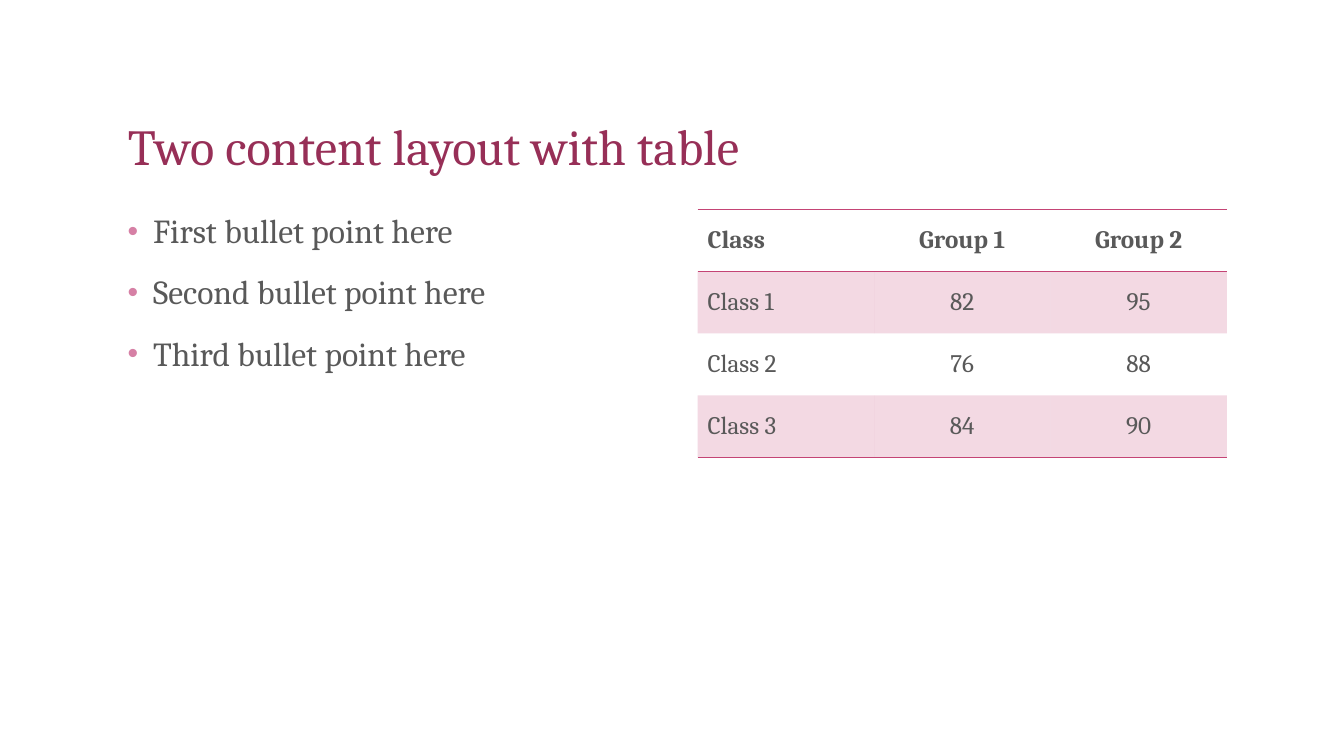
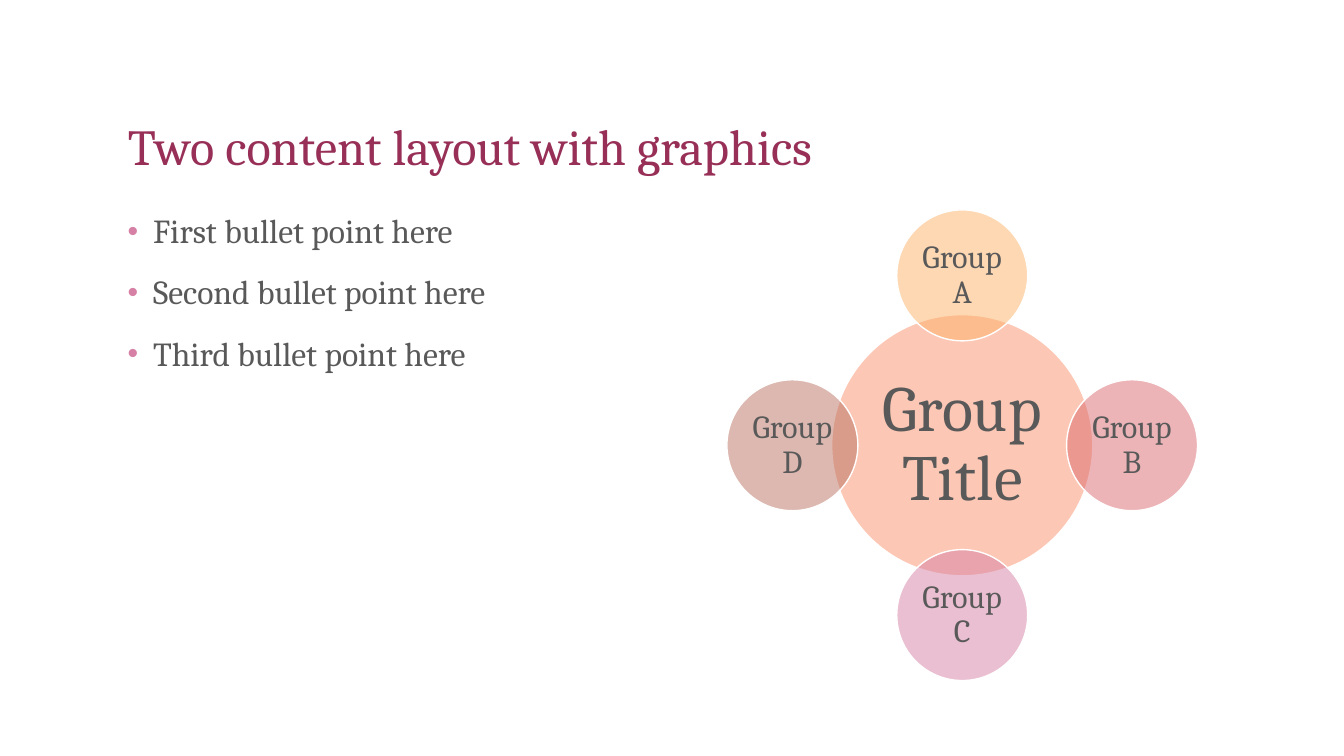
from dataclasses import dataclass

from pptx import Presentation
from pptx.dml.color import RGBColor
from pptx.enum.shapes import MSO_SHAPE
from pptx.enum.text import MSO_ANCHOR, MSO_AUTO_SIZE, PP_ALIGN
from pptx.oxml.ns import qn
from pptx.oxml.xmlchemy import OxmlElement
from pptx.presentation import Presentation as Deck
from pptx.slide import Slide
from pptx.table import _Cell as Cell
from pptx.text.text import TextFrame
from pptx.util import Cm, Pt

LEFT, CENTER = PP_ALIGN.LEFT, PP_ALIGN.CENTER
MIDDLE, BOTTOM = MSO_ANCHOR.MIDDLE, MSO_ANCHOR.BOTTOM
FIXED = MSO_AUTO_SIZE.NONE
OVAL = MSO_SHAPE.OVAL

FONT = "Cambria"
COLORS = {
    "title": "972F57",
    "text": "595959",
    "rose": "C44475",
    "pink": "D680A5",
    "coral": "FA906A",
    "orange": "FCB268",
    "red": "DB6B70",
    "brown": "BA7362",
    "white": "FFFFFF",
}

EDGE = 2.97
TOP = 5.28
WIDE = 13.34
RIGHT = 17.58
ROW = 1.56
MID_X = RIGHT + WIDE / 2
MID_Y = 11.22
ORBIT = 4.28

POINTS = ("First bullet point here", "Second bullet point here", "Third bullet point here")
SCORES = (
    ("Class", "Group 1", "Group 2"),
    ("Class 1", "82", "95"),
    ("Class 2", "76", "88"),
    ("Class 3", "84", "90"),
)


@dataclass(frozen=True)
class Disc:
    label: str
    color: str
    size: float
    font: int
    inset: float
    step_x: int = 0
    step_y: int = 0


@dataclass(frozen=True)
class Small(Disc):
    size: float = 3.3
    font: int = 23
    inset: float = 0.08


DISCS = (
    Disc("Group Title", "coral", 6.58, 46, 0.15),
    Small("Group A", "orange", step_y=-1),
    Small("Group B", "red", step_x=1),
    Small("Group C", "pink", step_y=1),
    Small("Group D", "brown", step_x=-1),
)


def paint(name: str) -> RGBColor:
    return RGBColor.from_string(COLORS[name])


def add_child(node, tag: str, **attrs: str):
    child = OxmlElement(tag)
    for key, value in attrs.items():
        child.set(key, value)
    node.append(child)
    return child


def write(frame: TextFrame, *lines: str, size: int, color: str = "text",
          bold: bool = False, align: PP_ALIGN = LEFT, space: float = 1.0,
          before: int = 0, bullet: bool = False) -> None:
    frame.word_wrap = True
    for index, line in enumerate(lines):
        para = frame.add_paragraph() if index else frame.paragraphs[0]
        para.alignment = align
        para.line_spacing = space
        para.space_before = Pt(before)
        run = para.add_run()
        run.text = line
        run.font.name = FONT
        run.font.size = Pt(size)
        run.font.bold = bold
        run.font.color.rgb = paint(color)
        if bullet:
            props = para._p.get_or_add_pPr()
            props.set("marL", str(Cm(0.64)))
            props.set("indent", str(-Cm(0.64)))
            hue = add_child(props, "a:buClr")
            add_child(hue, "a:srgbClr", val=COLORS["pink"])
            add_child(props, "a:buSzPct", val="90000")
            add_child(props, "a:buFont", typeface="Arial")
            add_child(props, "a:buChar", char="•")


def tint(item, props, color: str, alpha: int) -> None:
    item.fill.solid()
    item.fill.fore_color.rgb = paint(color)
    hue = props.find(qn("a:solidFill")).find(qn("a:srgbClr"))
    add_child(hue, "a:alpha", val=str(alpha * 1000))


def rule(cell: Cell, sides: str) -> None:
    props = cell._tc.get_or_add_tcPr()
    for side in "LRTB":
        line = add_child(props, f"a:ln{side}", w=str(Pt(1)))
        if side in sides:
            fill = add_child(line, "a:solidFill")
            add_child(fill, "a:srgbClr", val=COLORS["rose"])
        else:
            add_child(line, "a:noFill")


def add_page(deck: Deck, title: str) -> Slide:
    page = deck.slides.add_slide(deck.slide_layouts[5])
    head = page.shapes.title
    head.left, head.top = Cm(EDGE), Cm(1.27)
    head.width, head.height = Cm(27.94), Cm(3.3)
    head.text_frame.auto_size = FIXED
    head.text_frame.vertical_anchor = BOTTOM
    write(head.text_frame, title, size=36, color="title", space=0.9)
    box = page.shapes.add_textbox(Cm(EDGE), Cm(TOP), Cm(WIDE), Cm(11.86))
    write(box.text_frame, *POINTS, size=24, space=0.9, before=18, bullet=True)
    return page


def add_scores(page: Slide) -> None:
    last = len(SCORES) - 1
    grid = page.shapes.add_table(
        len(SCORES), len(SCORES[0]), Cm(RIGHT), Cm(TOP), Cm(WIDE), Cm(ROW * len(SCORES))
    ).table
    for row, values in enumerate(SCORES):
        sides = ("T" if row < 2 else "") + ("B" if row in (0, last) else "")
        for col, value in enumerate(values):
            cell = grid.cell(row, col)
            cell.vertical_anchor = MIDDLE
            write(cell.text_frame, value, size=18, bold=row == 0,
                  align=CENTER if col else LEFT)
            rule(cell, sides)
            if row % 2:
                tint(cell, cell._tc.get_or_add_tcPr(), "rose", 20)
            else:
                cell.fill.background()


def add_disc(page: Slide, disc: Disc) -> None:
    left = MID_X + disc.step_x * ORBIT - disc.size / 2
    top = MID_Y + disc.step_y * ORBIT - disc.size / 2
    shape = page.shapes.add_shape(OVAL, Cm(left), Cm(top), Cm(disc.size), Cm(disc.size))
    shape.shadow.inherit = False
    tint(shape, shape.element.spPr, disc.color, 50)
    shape.line.color.rgb = paint("white")
    shape.line.width = Pt(1)
    frame = shape.text_frame
    frame.vertical_anchor = MIDDLE
    frame.margin_left = frame.margin_right = Cm(disc.inset)
    frame.margin_top = frame.margin_bottom = Cm(disc.inset)
    write(frame, disc.label, size=disc.font, align=CENTER, space=0.9)


def main() -> None:
    deck = Presentation()
    deck.slide_width, deck.slide_height = Cm(33.87), Cm(19.05)
    add_scores(add_page(deck, "Two content layout with table"))
    page = add_page(deck, "Two content layout with graphics")
    for disc in DISCS:
        add_disc(page, disc)
    deck.save("out.pptx")


if __name__ == "__main__":
    main()
